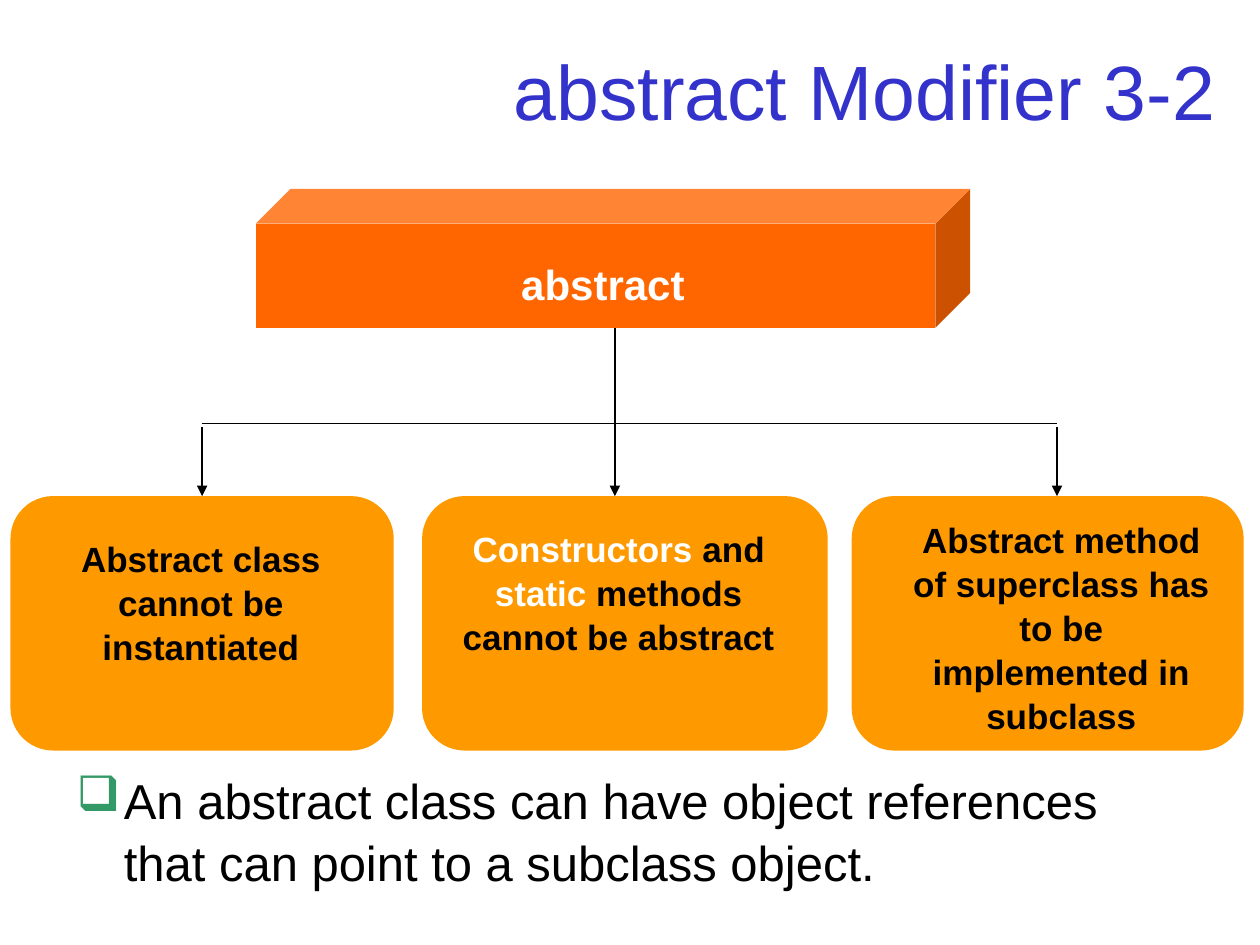
from lxml.etree import SubElement
from pptx import Presentation
from pptx.dml.color import RGBColor
from pptx.enum.shapes import MSO_CONNECTOR as CONNECTOR, MSO_SHAPE as SHAPE
from pptx.enum.text import MSO_ANCHOR as ANCHOR, PP_ALIGN as ALIGN
from pptx.oxml.ns import qn
from pptx.util import Pt

BLACK, WHITE, BLUE, GREEN = "000000", "FFFFFF", "3333CC", "339966"
CUBE_FILL, CARD_FILL = "FF6600", "FF9900"

TITLE = "abstract Modifier 3-2"
ROOT = "abstract"
BULLET = "❑"
NOTE = "An abstract class can have object references that can point to a subclass object."

# Each card: left, width, arrow x, label box, text runs with colours
CARDS = [
    (6, 219, 115.5, (10.8, 302.4, 208, 79.2),
     [("Abstract class cannot be instantiated", BLACK)]),
    (241.2, 231.8, 351.4, (254.9, 296.6, 197.3, 79.2),
     [("Constructors", WHITE), (" and ", BLACK), ("static", WHITE),
      (" methods cannot be abstract", BLACK)]),
    (486.7, 224, 604, (514, 291.6, 185, 127.4),
     [("Abstract method of superclass has to be implemented in subclass", BLACK)]),
]
CARD_TOP, CARD_HEIGHT = 283.5, 145.4
CUBE = (146.2, 108, 408.2, 79.2)
BAR_Y, ARROW_TOP = 241.9, 244.1

presentation = Presentation()
presentation.slide_width, presentation.slide_height = Pt(720), Pt(540)
slide = presentation.slides.add_slide(presentation.slide_layouts[6])


def color(hex_string):
    return RGBColor.from_string(hex_string)


def add_solid(kind, box, fill, adjustment):
    shape = slide.shapes.add_shape(kind, *map(Pt, box))
    shape.adjustments[0] = adjustment
    shape.shadow.inherit = False
    shape.fill.solid()
    shape.fill.fore_color.rgb = color(fill)
    shape.line.fill.background()
    return shape


def add_text(box, runs, size, align=ALIGN.CENTER, bold=False,
             anchor=ANCHOR.TOP, spacing=1.05, bullet=None):
    frame = slide.shapes.add_textbox(*map(Pt, box)).text_frame
    frame.word_wrap = True
    frame.vertical_anchor = anchor
    paragraph = frame.paragraphs[0]
    paragraph.alignment = align
    paragraph.line_spacing = spacing
    if bullet:
        properties = paragraph._p.get_or_add_pPr()
        properties.set("marL", str(Pt(27)))
        properties.set("indent", str(Pt(-27)))
        bullet_color = SubElement(properties, qn("a:buClr"))
        SubElement(bullet_color, qn("a:srgbClr"), val=GREEN)
        SubElement(properties, qn("a:buChar"), char=bullet)
    for text, text_color in runs:
        run = paragraph.add_run()
        run.text = text
        for name, value in {"name": "Arial", "size": Pt(size), "bold": bold}.items():
            setattr(run.font, name, value)
        run.font.color.rgb = color(text_color)


def add_line(start, end, arrow=False):
    connector = slide.shapes.add_connector(CONNECTOR.STRAIGHT, *map(Pt, start + end))
    connector.line.color.rgb = color(BLACK)
    connector.line.width = Pt(0.75)
    if arrow:
        SubElement(connector.line._get_or_add_ln(), qn("a:tailEnd"), type="triangle")
    SubElement(connector._element.spPr, qn("a:effectLst"))
    return connector


add_text((54, 20.2, 648, 62.6), [(TITLE, BLUE)], 44, ALIGN.RIGHT,
         anchor=ANCHOR.MIDDLE, spacing=1)

add_solid(SHAPE.CUBE, CUBE, CUBE_FILL, 0.25)
add_text((265, 143, 159, 36), [(ROOT, WHITE)], 24, bold=True)

arrow_xs = [card[2] for card in CARDS]
add_line((arrow_xs[1], CUBE[1] + CUBE[3]), (arrow_xs[1], ARROW_TOP))
add_line((arrow_xs[0], BAR_Y), (arrow_xs[-1], BAR_Y))

for left, width, arrow_x, label_box, runs in CARDS:
    card = add_solid(SHAPE.ROUNDED_RECTANGLE, (left, CARD_TOP, width, CARD_HEIGHT),
                     CARD_FILL, 0.167)
    add_text(label_box, runs, 20, bold=True)
    arrow = add_line((arrow_x, ARROW_TOP), (arrow_x, CARD_TOP), arrow=True)
    if arrow_x == left + width / 2:
        arrow.end_connect(card, 0)

add_text((36.7, 435, 648, 79.2), [(NOTE, BLACK)], 28, ALIGN.LEFT, bullet=BULLET)

presentation.save("out.pptx")
